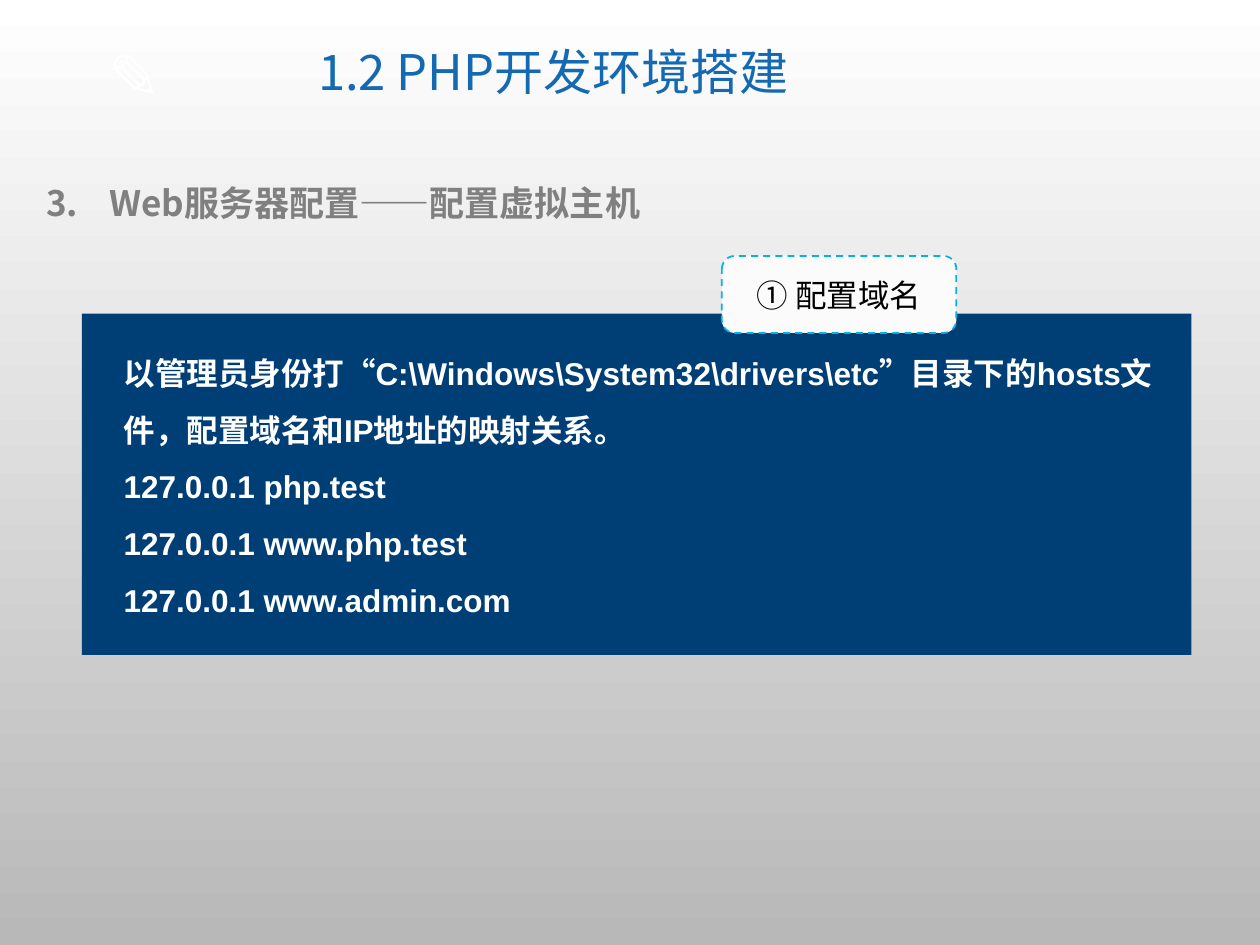
import pptx
import pptx.util
import pptx.dml.color
import pptx.enum.dml
import pptx.enum.shapes
import pptx.enum.text
import lxml.etree
from pptx.oxml.ns import qn

Pt = pptx.util.Pt
MIDDLE = pptx.enum.text.MSO_ANCHOR.MIDDLE
CENTER = pptx.enum.text.PP_ALIGN.CENTER
SHAPE = pptx.enum.shapes.MSO_SHAPE
CJK = "Noto Sans CJK SC"


def rgb(value):
    return pptx.dml.color.RGBColor.from_string(value)


def format_runs(p, size, name, color, bold=False):
    for r in p.runs:
        r.font.size, r.font.name, r.font.bold = Pt(size), name, bold
        r.font.color.rgb = rgb(color)
        lxml.etree.SubElement(r.font._element, qn("a:ea"), typeface=CJK)


prs = pptx.Presentation()
prs.slide_width, prs.slide_height = Pt(720), Pt(540)
s = prs.slides.add_slide(prs.slide_layouts[5])

# Background gradient, top to bottom
fill = s.background.fill
fill.gradient()
fill.gradient_angle = 270
for stop, color in zip(fill.gradient_stops, ["FFFFFF", "B8B8B8"]):
    stop.color.rgb = rgb(color)

# Pencil ornament
sp = s.shapes.add_textbox(Pt(54.7), Pt(17.3), Pt(62), Pt(51))
tf = sp.text_frame
tf.word_wrap = False
tf.text = "✎"
format_runs(tf.paragraphs[0], 36, CJK, "FFFFFF", True)

# Title
sp = s.shapes.title
sp.left, sp.top, sp.width, sp.height = Pt(130.3), Pt(12.2), Pt(371.5), Pt(61.2)
tf = sp.text_frame
tf.text = "1.2 PHP开发环境搭建"
tf.vertical_anchor = MIDDLE
p = tf.paragraphs[0]
p.alignment, p.line_spacing = CENTER, 0.9
format_runs(p, 28, CJK, "1369B2")

# Numbered heading
sp = s.shapes.add_textbox(Pt(19.4), Pt(100), Pt(664), Pt(31.7))
tf = sp.text_frame
tf.word_wrap = True
tf.text = "Web服务器配置——配置虚拟主机"
p = tf.paragraphs[0]
pPr = p._p.get_or_add_pPr()
pPr.set("marL", str(Pt(36)))
pPr.set("indent", str(-Pt(36)))
lxml.etree.SubElement(pPr, qn("a:buFont"), typeface="+mj-lt")
lxml.etree.SubElement(pPr, qn("a:buAutoNum"), type="arabicPeriod", startAt="3")
format_runs(p, 20, CJK, "808080", True)

# Instruction panel with its text
panel = s.shapes.add_group_shape()
sp = panel.shapes.add_shape(SHAPE.RECTANGLE, Pt(46.8), Pt(179.2), Pt(634), Pt(195))
sp.shadow.inherit = False
sp.fill.solid()
sp.fill.fore_color.rgb = rgb("003F75")
sp.line.fill.background()

sp = panel.shapes.add_textbox(Pt(63.5), Pt(188), Pt(616.5), Pt(170.6))
tf = sp.text_frame
tf.word_wrap = True
tf.text = "\n".join([
    "以管理员身份打“C:\\Windows\\System32\\drivers\\etc”目录下的hosts文件，配置域名和IP地址的映射关系。",
    "127.0.0.1 php.test",
    "127.0.0.1 www.php.test",
    "127.0.0.1 www.admin.com",
])
for p in tf.paragraphs:
    p.line_spacing = 1.5
    format_runs(p, 18, "Arial", "FFFFFF", True)

# Step label
sp = s.shapes.add_shape(SHAPE.ROUNDED_RECTANGLE, Pt(412.5), Pt(146.3), Pt(134), Pt(44))
sp.shadow.inherit = False
sp.fill.solid()
sp.fill.fore_color.rgb = rgb("FBFBFB")
sp.line.color.rgb = rgb("00B4E9")
sp.line.width = Pt(1)
sp.line.dash_style = pptx.enum.dml.MSO_LINE.DASH
tf = sp.text_frame
tf.text = "① 配置域名"
tf.vertical_anchor = MIDDLE
p = tf.paragraphs[0]
p.alignment = CENTER
format_runs(p, 18, "Calibri", "000000")

prs.save("out.pptx")
